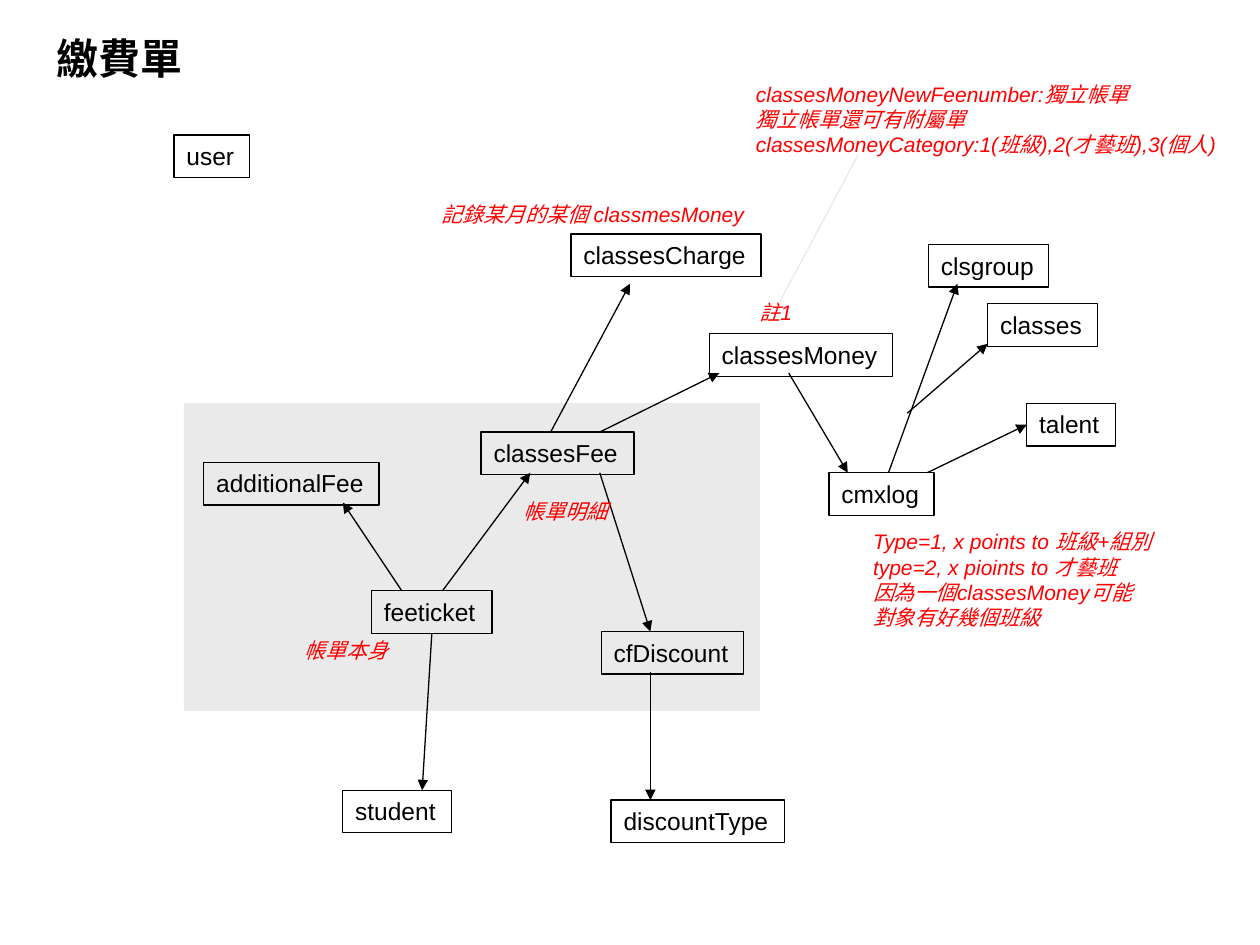
from lxml import etree
from pptx import Presentation
from pptx import util as u
from pptx.dml.color import RGBColor
from pptx.enum import shapes, text
from pptx.oxml.ns import qn

COLORS = {"black": "000000", "red": "FF0000", "gray": "EAEAEA"}
BOX_HEIGHT = 0.86
TOP, LEFT, BOTTOM, RIGHT = range(4)

TABLES = {
    "user": (3.51, 2.72, 1.52),
    "classes": (19.91, 6.12, 2.22),
    "student": (6.91, 15.93, 2.2),
    "clsgroup": (18.72, 4.93, 2.42),
    "classesMoney": (14.3, 6.73, 3.7),
    "classesCharge": (11.51, 4.72, 3.83),
    "classesFee": (9.7, 8.71, 3.08),
    "feeticket": (7.49, 11.91, 2.43),
    "cmxlog": (16.71, 9.53, 2.12),
    "cfDiscount": (12.12, 12.73, 2.87),
    "additionalFee": (4.11, 9.32, 3.53),
    "discountType": (12.32, 16.13, 3.5),
    "talent": (20.7, 8.13, 1.79),
}

NOTES = [
    ("帳單明細", 10.31, 9.93, 2.3, 0.76),
    ("記錄某月的某個 classmesMoney", 8.66, 3.94, 6.8, 0.76),
    ("帳單本身", 5.89, 12.73, 2.3, 0.76),
    ("Type=1, x points to 班級+組別\ntype=2, x pioints to 才藝班\n"
     "因為一個classesMoney可能\n對象有好幾個班級", 17.35, 10.54, 6.55, 2.29),
    ("classesMoneyNewFeenumber:獨立帳單\n獨立帳單還可有附屬單\n"
     "classesMoneyCategory:1(班級),2(才藝班),3(個人)", 14.99, 1.52, 10.41, 2.29),
    ("註1", 15.06, 5.92, 1.32, 0.76),
]

ARROWS = [
    (12.09, 8.71, 14.5, 7.52),
    (11.1, 8.71, 12.7, 5.72),
    (8.92, 11.91, 10.69, 9.53),
    (8.1, 11.91, 6.91, 10.13),
    (13.11, 13.54, 13.11, 16.13),
    (12.09, 9.53, 13.11, 12.73),
    (15.9, 7.52, 17.09, 9.53),
    (17.91, 9.53, 19.3, 5.72),
    (18.29, 8.33, 19.91, 6.93),
]


def rgb(name):
    return RGBColor.from_string(COLORS[name])


def write(sp, content, size=14, color="black", bold=False, italic=False):
    tf = sp.text_frame
    tf.word_wrap = False
    tf.auto_size = text.MSO_AUTO_SIZE.SHAPE_TO_FIT_TEXT
    tf.vertical_anchor = text.MSO_ANCHOR.TOP
    tf.text = content
    for p in tf.paragraphs:
        p.alignment = text.PP_ALIGN.LEFT
        for r in p.runs:
            r.font.name = "Arial"
            r.font.size = u.Pt(size)
            r.font.bold = bold
            r.font.italic = italic
            r.font.color.rgb = rgb(color)


def add_rect(s, x, y, w, h, fill=None, line=None):
    sp = s.shapes.add_shape(shapes.MSO_SHAPE.RECTANGLE,
                            u.Cm(x), u.Cm(y), u.Cm(w), u.Cm(h))
    sp.shadow.inherit = False
    if fill:
        sp.fill.solid()
        sp.fill.fore_color.rgb = rgb(fill)
    else:
        sp.fill.background()
    if line:
        sp.line.color.rgb = rgb(line)
        sp.line.width = u.Pt(0.75)
    else:
        sp.line.fill.background()
    return sp


def add_table_box(s, name, x, y, w):
    sp = add_rect(s, x, y, w, BOX_HEIGHT, line="black")
    write(sp, name)
    return sp


def add_label(s, content, x, y, w, h, **fmt):
    write(s.shapes.add_textbox(u.Cm(x), u.Cm(y), u.Cm(w), u.Cm(h)), content, **fmt)


def add_line(s, x1, y1, x2, y2, color="black", arrow=True):
    line = s.shapes.add_connector(shapes.MSO_CONNECTOR.STRAIGHT,
                                  u.Cm(x1), u.Cm(y1), u.Cm(x2), u.Cm(y2))
    line.line.color.rgb = rgb(color)
    line.line.width = u.Pt(0.75)
    if arrow:
        ln = line.line._get_or_add_ln()
        etree.SubElement(ln, qn("a:tailEnd"), type="triangle")
    etree.SubElement(line._element.spPr, qn("a:effectLst"))
    return line


def main():
    prs = Presentation()
    prs.slide_width, prs.slide_height = u.Cm(25.4), u.Cm(19.05)
    s = prs.slides.add_slide(prs.slide_layouts[6])

    add_rect(s, 3.71, 8.13, 11.61, 6.2, fill="gray")
    add_label(s, "繳費單", 0.89, 0.53, 3.4, 1.27, size=24, bold=True)
    boxes = {name: add_table_box(s, name, *place) for name, place in TABLES.items()}
    for arrow in ARROWS:
        add_line(s, *arrow)
    add_line(s, 18.69, 9.53, 20.7, 8.53).end_connect(boxes["talent"], LEFT)
    to_student = add_line(s, 8.71, 12.73, 8.51, 15.93)
    to_student.begin_connect(boxes["feeticket"], BOTTOM)
    for note in NOTES:
        add_label(s, *note, size=12, color="red", italic=True)
    add_line(s, 15.7, 6.12, 17.3, 3.12, color="gray", arrow=False)

    prs.save("out.pptx")


if __name__ == "__main__":
    main()
